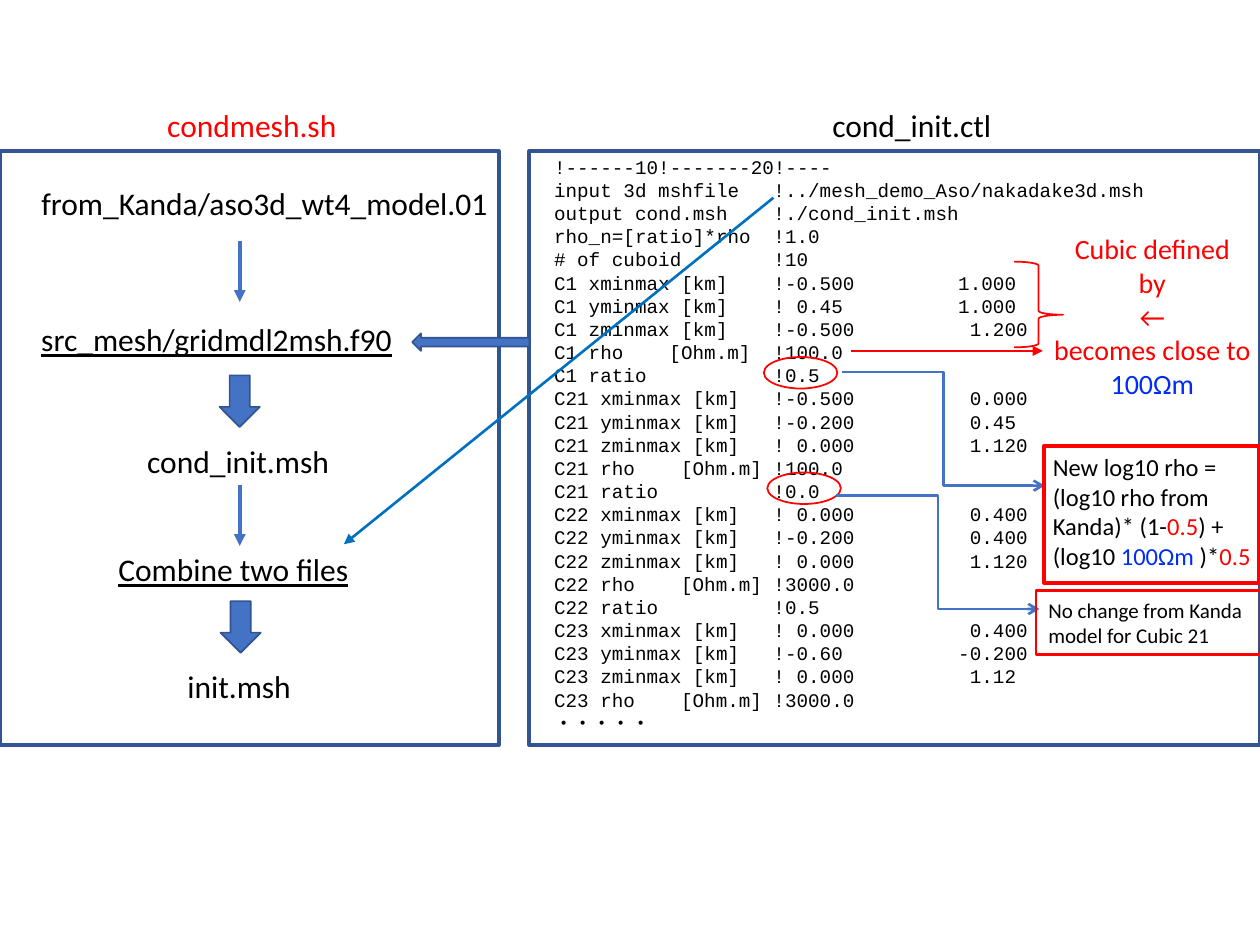
"""Builds a slide that links a mesh workflow to its control file."""
from lxml.etree import SubElement
from pptx import Presentation
from pptx.dml.color import RGBColor
from pptx.enum.shapes import MSO_CONNECTOR, MSO_SHAPE
from pptx.enum.text import MSO_ANCHOR, PP_ALIGN
from pptx.oxml.ns import qn
from pptx.util import Pt

BLACK, RED, OHM_BLUE = "000000", "FF0000", "002DF4"
NAVY, BLUE, SKY = "325491", "4472C4", "0070C0"
CHAR_WIDTH = 6.6
VALUE, MAXIMUM = 19, 36

LISTING = [
    ("!------10!-------20!----",),
    ("input 3d mshfile\t!../mesh_demo_Aso/nakadake3d.msh", VALUE),
    ("output cond.msh\t!./cond_init.msh", VALUE),
    ("rho_n=[ratio]*rho\t!1.0", VALUE),
    ("# of cuboid\t!10", VALUE),
    ("C1 xminmax [km]\t!-0.500\t1.000", VALUE, 35),
    ("C1 yminmax [km]\t! 0.45\t1.000", VALUE, 35),
    ("C1 zminmax [km]\t!-0.500\t1.200", VALUE, MAXIMUM),
    ("C1 rho\t[Ohm.m]\t!100.0", 10, VALUE),
    ("C1 ratio\t!0.5", VALUE),
    ("C21 xminmax [km]\t!-0.500\t0.000", VALUE, MAXIMUM),
    ("C21 yminmax [km]\t!-0.200\t0.45", VALUE, MAXIMUM),
    ("C21 zminmax [km]\t! 0.000\t1.120", VALUE, MAXIMUM),
    ("C21 rho\t[Ohm.m]\t!100.0", 11, VALUE),
    ("C21 ratio\t!0.0", VALUE),
    ("C22 xminmax [km]\t! 0.000\t0.400", VALUE, MAXIMUM),
    ("C22 yminmax [km]\t!-0.200\t0.400", VALUE, MAXIMUM),
    ("C22 zminmax [km]\t! 0.000\t1.120", VALUE, MAXIMUM),
    ("C22 rho\t[Ohm.m]\t!3000.0", 11, VALUE),
    ("C22 ratio\t!0.5", VALUE),
    ("C23 xminmax [km]\t! 0.000\t0.400", VALUE, MAXIMUM),
    ("C23 yminmax [km]\t!-0.60\t-0.200", VALUE, 35),
    ("C23 zminmax [km]\t! 0.000\t1.12", VALUE, MAXIMUM),
    ("C23 rho\t[Ohm.m]\t!3000.0", 11, VALUE),
    ("・・・・・",),
]


def paint(target, color):
    """Give a fill, a font or a line format a solid colour from a hex string."""
    if hasattr(target, "solid"):
        target.solid()
        target = target.fore_color
    else:
        target = target.color
    target.rgb = RGBColor.from_string(color)


def style(font, size, color=None, name="Calibri", underline=None):
    """Set the font shared by all runs of a paragraph."""
    font.name, font.size, font.underline = name, Pt(size), underline
    if color:
        paint(font, color)


def add_frame(slide, box):
    """Add a wrapping text box and return its text frame."""
    frame = slide.shapes.add_textbox(*map(Pt, box)).text_frame
    frame.word_wrap = True
    return frame


def next_paragraph(frame, index):
    """Return the first paragraph of a frame, or a new one after it."""
    return frame.add_paragraph() if index else frame.paragraphs[0]


def add_label(slide, text, box, color=BLACK, underline=None):
    """Add a one-line file name or step."""
    paragraph = add_frame(slide, box).paragraphs[0]
    paragraph.text = text
    style(paragraph.font, 18, color, underline=underline)


def add_note(slide, box, lines, size, align):
    """Add paragraphs made of (text, colour) runs."""
    frame = add_frame(slide, box)
    for index, parts in enumerate(lines):
        paragraph = next_paragraph(frame, index)
        paragraph.alignment = align
        style(paragraph.font, size)
        for text, color in parts:
            run = paragraph.add_run()
            run.text = text
            paint(run.font, color)


def add_listing(slide, box):
    """Add the control file, its columns set with tab stops."""
    frame = add_frame(slide, box)
    for index, (text, *columns) in enumerate(LISTING):
        paragraph = next_paragraph(frame, index)
        paragraph.text = text
        paragraph.line_spacing = Pt(13.25)
        if columns:
            tabs = SubElement(paragraph._p.get_or_add_pPr(), qn("a:tabLst"))
            for column in columns:
                SubElement(tabs, qn("a:tab"), pos=str(Pt(column * CHAR_WIDTH)), algn="l")
        style(paragraph.font, 11, BLACK, "Courier New")


def add_block(slide, kind, box, line, width, fill=None):
    """Add a preset shape with an outline and an optional fill."""
    block = slide.shapes.add_shape(kind, *map(Pt, box))
    block.shadow.inherit = False
    if fill:
        paint(block.fill, fill)
    else:
        block.fill.background()
    paint(block.line, line)
    block.line.width = Pt(width)
    return block


def add_arrow(slide, start, end, color, width, kind=MSO_CONNECTOR.STRAIGHT, head="triangle"):
    """Add a connector with a head at its end."""
    arrow = slide.shapes.add_connector(kind, *map(Pt, start + end))
    paint(arrow.line, color)
    arrow.line.width = Pt(width)
    SubElement(arrow.line._get_or_add_ln(), qn("a:tailEnd"), type=head)
    SubElement(arrow._element.spPr, qn("a:effectLst"))


def add_workflow(slide):
    """Draw the steps of the shell script."""
    add_label(slide, "condmesh.sh", (88.5, 57, 113, 29), RED)
    add_block(slide, MSO_SHAPE.RECTANGLE, (0, 86.5, 285, 339), NAVY, 2.25)
    for text, left, top, width, underline in (
        ("from_Kanda/aso3d_wt4_model.01", 16.5, 101.5, 275.5, None),
        ("src_mesh/gridmdl2msh.f90", 16.5, 179.5, 219, True),
        ("cond_init.msh", 77, 249, 120, None),
        ("Combine two files", 60.5, 311, 156, True),
        ("init.msh", 100, 377.5, 75, None),
    ):
        add_label(slide, text, (left, top, width, 29), underline=underline)
    for top in (137.5, 277):
        add_arrow(slide, (137, top), (137, top + 35), BLUE, 2.25)
    for left, top in ((125.5, 214.5), (126, 343.5)):
        add_block(slide, MSO_SHAPE.DOWN_ARROW, (left, top, 23, 29.5), NAVY, 1, BLUE)


def add_control_file(slide):
    """Draw the control file in its frame."""
    add_label(slide, "cond_init.ctl", (468.5, 57, 107, 29))
    add_listing(slide, (309.5, 85, 392.5, 340.5))
    add_block(slide, MSO_SHAPE.RECTANGLE, (302.5, 86.5, 417.5, 339), NAVY, 2.25)


def add_remarks(slide):
    """Draw the remarks on the cuboids and their ratios."""
    add_note(slide, (593.5, 129, 130, 104.5), [
        [("Cubic defined", RED)],
        [("by", RED)],
        [("←", RED)],
        [("becomes close to ", RED), ("100Ωm", OHM_BLUE)],
    ], 16, PP_ALIGN.CENTER)
    brace = add_block(slide, MSO_SHAPE.RIGHT_BRACE, (579.5, 149.5, 28, 49), RED, 1)
    brace.adjustments[0], brace.adjustments[1] = 0.08, 0.62
    add_arrow(slide, (486.5, 200.5), (596, 200.5), RED, 1.5)

    for left, top in ((436.5, 204), (438.5, 270)):
        add_block(slide, MSO_SHAPE.OVAL, (left, top, 42, 18), RED, 1)
    for left, top in ((481, 212.5), (478, 283)):
        add_arrow(slide, (left, top), (left + 116, top + 65), BLUE, 1.5,
                  MSO_CONNECTOR.ELBOW, "arrow")

    add_note(slide, (594.5, 255, 146, 78), [[
        ("New log10 rho = (log10 rho from Kanda)* (1-", BLACK), ("0.5", RED),
        (") + (log10 ", BLACK), ("100Ωm", OHM_BLUE), (" )*", BLACK), ("0.5", RED),
    ]], 14, PP_ALIGN.LEFT)
    add_block(slide, MSO_SHAPE.RECTANGLE, (596.5, 255, 123, 78), RED, 2.25)

    unchanged = add_block(slide, MSO_SHAPE.RECTANGLE, (592, 337.5, 128, 36.5), RED, 1.5)
    frame = unchanged.text_frame
    frame.word_wrap = True
    frame.vertical_anchor = MSO_ANCHOR.MIDDLE
    paragraph = frame.paragraphs[0]
    paragraph.text = "No change from Kanda model for Cubic 21"
    paragraph.alignment = PP_ALIGN.LEFT
    style(paragraph.font, 12, BLACK)


def add_links(slide):
    """Point from the control file to the steps that use it."""
    feed = add_block(slide, MSO_SHAPE.RIGHT_ARROW, (235.5, 190.5, 67, 10), NAVY, 1, BLUE)
    feed.rotation = 180
    add_arrow(slide, (442, 113), (196.5, 311), SKY, 1.5)


def main():
    """Build and save the slide."""
    deck = Presentation()
    deck.slide_width, deck.slide_height = Pt(720), Pt(540)
    slide = deck.slides.add_slide(deck.slide_layouts[6])
    add_workflow(slide)
    add_control_file(slide)
    add_remarks(slide)
    add_links(slide)
    deck.save("out.pptx")


if __name__ == "__main__":
    main()
